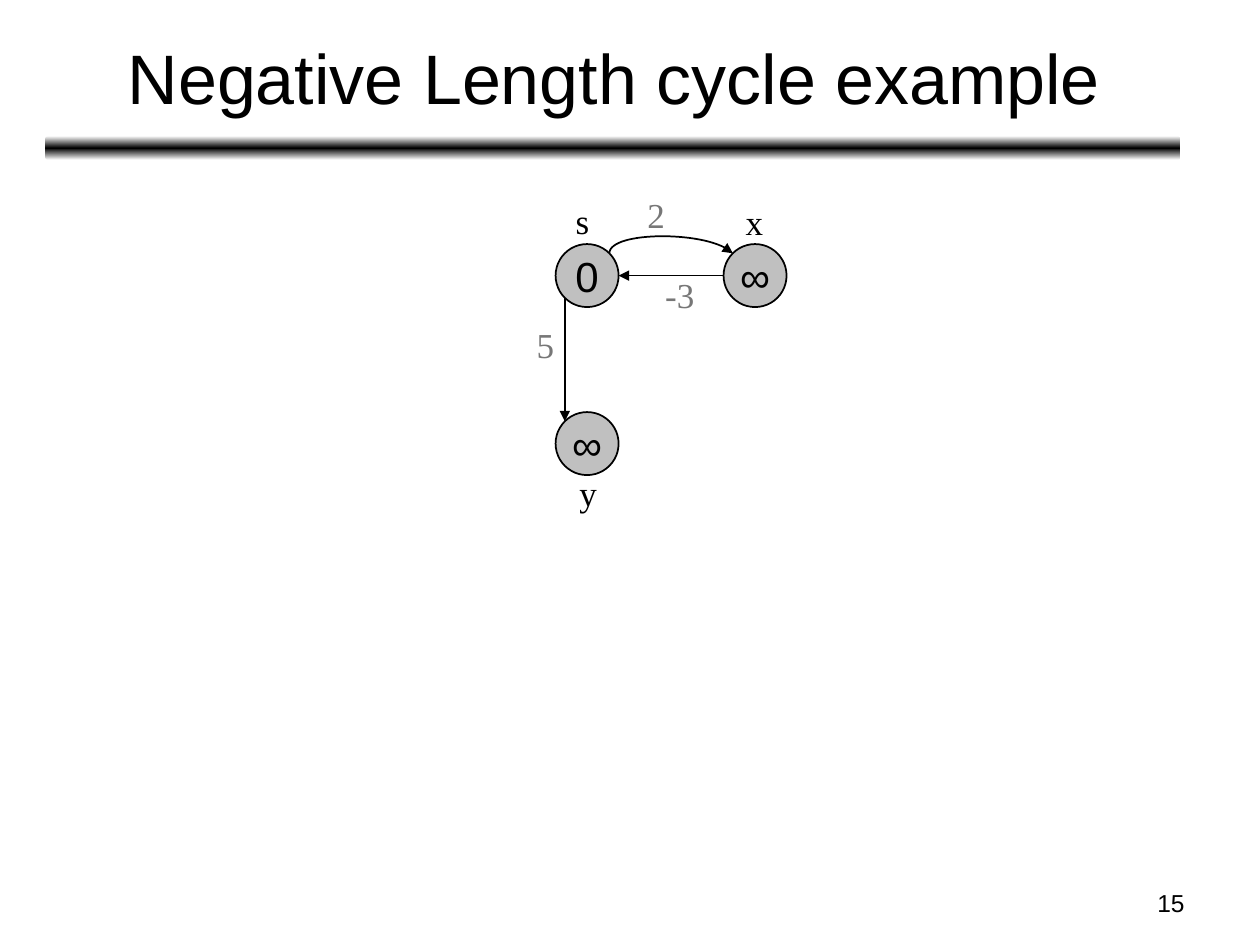
import copy
import math
import pptx
import pptx.util
import pptx.dml.color
import pptx.enum.shapes
import pptx.enum.text
import pptx.oxml
import pptx.oxml.ns

Pt = pptx.util.Pt
SHAPE = pptx.enum.shapes.MSO_SHAPE
ALIGN = pptx.enum.text.PP_ALIGN
MIDDLE = pptx.enum.text.MSO_ANCHOR.MIDDLE
BLACK, GREY, SILVER, WHITE = "000000", "777777", "C0C0C0", "FFFFFF"
SANS, SERIF = "Arial", "Times New Roman"

# Texts: wording, box (left, top, width, height), size, font, colour, alignment
HEADINGS = [
    ("Negative Length cycle example", (26.64, 7.92, 648, 71.28), 40, SANS, BLACK, ALIGN.CENTER),
    ("15", (516.24, 504, 167.76, 25.2), 14, SANS, BLACK, ALIGN.RIGHT),
]
BAR = (25.92, 77.76, 648.72, 13.68)

# Graph: node centres and values, then labels with their left, top and width
RADIUS, STEP = 18, 96
S_X, S_Y = 335.5, 157.5
NODES = {
    "s": (S_X, S_Y, "0"),
    "x": (S_X + STEP, S_Y, "∞"),
    "y": (S_X, S_Y + STEP, "∞"),
}
LABELS = [
    ("2", 362.9, 107.3, 36, GREY),
    ("-3", 373, 152.6, 36, GREY),
    ("5", 299.5, 181.4, 24, GREY),
    ("s", 321.8, 110.2, 24, BLACK),
    ("x", 419, 110.9, 24, BLACK),
    ("y", 324, 265.7, 24, BLACK),
]
LABEL_HEIGHT = 31


def rgb(value):
    """Turn a hex string into a colour."""
    return pptx.dml.color.RGBColor.from_string(value)


def write(tf, text, size, font, color, align):
    """Set one formatted paragraph in a text frame."""
    tf.text = text
    p = tf.paragraphs[0]
    p.alignment = align
    r = p.runs[0]
    r.font.size, r.font.name = Pt(size), font
    r.font.color.rgb = rgb(color)


def add_text(s, text, box, size, font, color, align=ALIGN.LEFT):
    """Add a wrapping text box."""
    tf = s.shapes.add_textbox(*map(Pt, box)).text_frame
    tf.word_wrap = True
    write(tf, text, size, font, color, align)
    return tf


def add_bar(s):
    """Add the rule that fades from black to white above and below."""
    sp = s.shapes.add_shape(SHAPE.ROUNDED_RECTANGLE, *map(Pt, BAR))
    sp.shadow.inherit = False
    sp.line.fill.background()
    sp.fill.gradient()
    sp.fill.gradient_angle = 270
    stops = sp._element.spPr.find(".//" + pptx.oxml.ns.qn("a:gsLst"))
    stops.insert(1, copy.deepcopy(stops[0]))
    for stop, color, place in zip(sp.fill.gradient_stops, (WHITE, BLACK, WHITE), (0, 0.5, 1)):
        stop.color.rgb = rgb(color)
        stop.position = place


def add_node(s, x, y, value):
    """Add a circle with its value, centred on a point."""
    box = (x - RADIUS, y - RADIUS, 2 * RADIUS, 2 * RADIUS)
    sp = s.shapes.add_shape(SHAPE.OVAL, *map(Pt, box))
    sp.shadow.inherit = False
    sp.fill.solid()
    sp.fill.fore_color.rgb = rgb(SILVER)
    sp.line.color.rgb, sp.line.width = rgb(BLACK), Pt(1)
    sp.text_frame.word_wrap = False
    sp.text_frame.vertical_anchor = MIDDLE
    write(sp.text_frame, value, 24, SANS, BLACK, ALIGN.CENTER)


def style_arrow(sp):
    """Give a line its colour, width and arrowhead, without a shadow."""
    sp.line.color.rgb, sp.line.width = rgb(BLACK), Pt(1)
    ns = pptx.oxml.ns.nsdecls("a")
    sp.line._get_or_add_ln().append(pptx.oxml.parse_xml(f'<a:tailEnd {ns} type="triangle"/>'))
    sp._element.spPr.append(pptx.oxml.parse_xml(f"<a:effectLst {ns}/>"))


def add_arrow(s, start, end):
    """Add a straight arrow."""
    kind = pptx.enum.shapes.MSO_CONNECTOR.STRAIGHT
    style_arrow(s.shapes.add_connector(kind, *map(Pt, start + end)))


def add_curve(s, *controls):
    """Add an arrow along a cubic Bezier curve."""
    weights = (1, 3, 3, 1)
    points = []
    for i in range(33):
        t = i / 32
        points.append(tuple(
            Pt(sum(w * (1 - t) ** (3 - k) * t ** k * c[axis]
                   for k, (w, c) in enumerate(zip(weights, controls))))
            for axis in (0, 1)))
    builder = s.shapes.build_freeform(*points[0])
    builder.add_line_segments(points[1:], close=False)
    sp = builder.convert_to_shape()
    sp.fill.background()
    style_arrow(sp)


prs = pptx.Presentation()
prs.slide_width, prs.slide_height = Pt(720), Pt(540)
s = prs.slides.add_slide(prs.slide_layouts[6])

add_bar(s)
title, number = [add_text(s, *heading) for heading in HEADINGS]
title.vertical_anchor = MIDDLE

for x, y, value in NODES.values():
    add_node(s, x, y, value)

d = RADIUS / math.sqrt(2)
left, right, top = S_X + d, S_X + STEP - d, S_Y - d
add_arrow(s, (S_X - d, S_Y + d), (S_X - d, S_Y + STEP - d))
add_arrow(s, (S_X + STEP - RADIUS, S_Y), (S_X + RADIUS, S_Y))
add_curve(s, (left, top), (left, top - 13), (right - 13, top - 13), (right, top))

for text, x, y, width, color in LABELS:
    add_text(s, text, (x, y, width, LABEL_HEIGHT), 20, SERIF, color)

prs.save("out.pptx")
